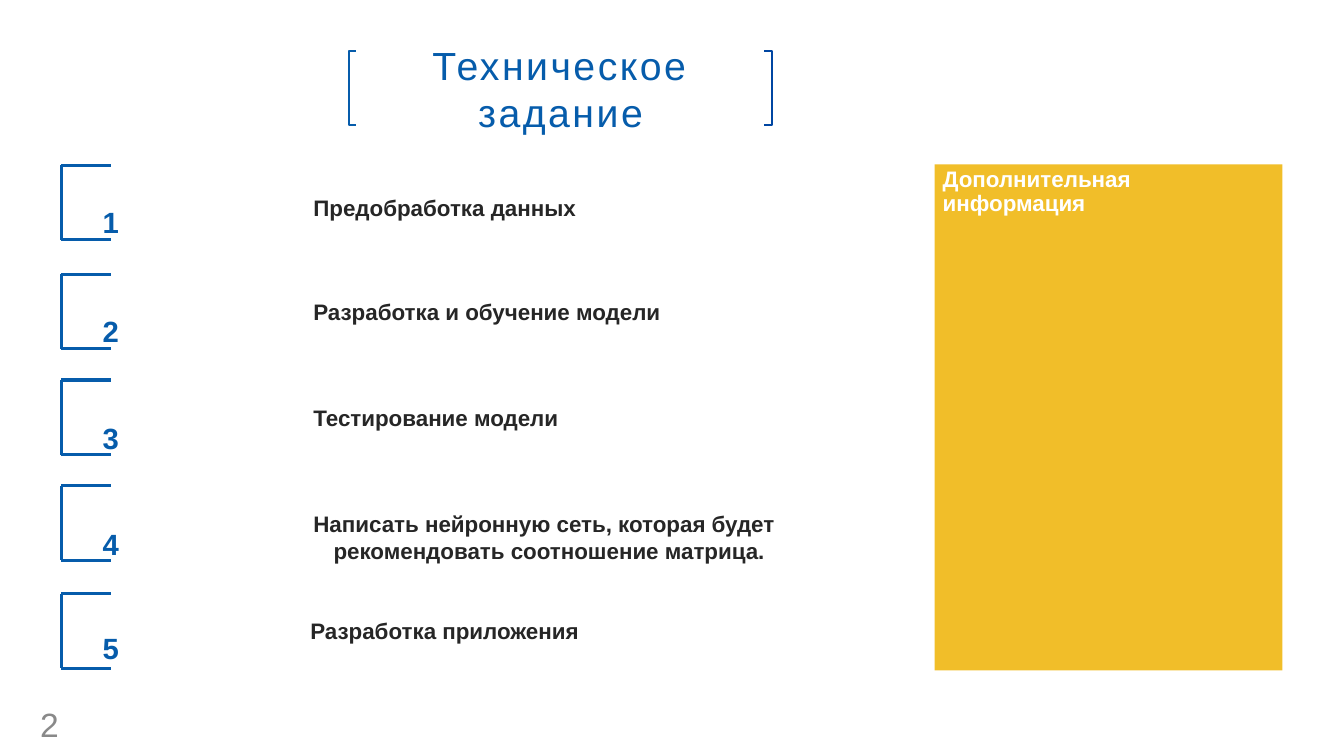
"""Build the slide listing the steps of a technical assignment."""
import dataclasses

import lxml.etree
import pptx
import pptx.dml.color
import pptx.enum.shapes
import pptx.enum.text
import pptx.oxml.ns
import pptx.util

PX = 9144
ANCHOR = pptx.enum.text.MSO_ANCHOR
ALIGN = pptx.enum.text.PP_ALIGN


@dataclasses.dataclass(frozen=True)
class Theme:
    """Colours, type sizes and line widths of the slide."""
    font: str = "Arial"
    blue: str = "065CAB"
    deep_blue: str = "0046A2"
    yellow: str = "F1BE29"
    white: str = "FFFFFF"
    ink: str = "262626"
    grey: str = "898989"
    title_size: int = 28
    label_size: int = 16
    number_size: int = 36
    page_size: int = 24
    thin: float = 1.3
    thick: float = 2.25


THEME = Theme()

STEPS = [
    ("Предобработка данных", (154, 164), 24, 28),
    ("Разработка и обучение модели", (154, 272), 19, 28),
    ("Тестирование модели", (154, 377), 19, 29),
    ("Написать нейронную сеть, которая будет рекомендовать соотношение матрица.",
     (154, 482), 19, 29),
    ("Разработка приложения", (151, 589), 18, 25),
]


def emu(*lengths):
    """Turn px lengths into EMU."""
    return [pptx.util.Emu(length * PX) for length in lengths]


def rgb(colour):
    """Return the colour object for a hex string."""
    return pptx.dml.color.RGBColor.from_string(colour)


def write(shape, text, size, colour, bold=False, align=ALIGN.LEFT, anchor=ANCHOR.TOP):
    """Put one formatted paragraph in a shape and return it."""
    frame = shape.text_frame
    frame.word_wrap = True
    frame.auto_size = pptx.enum.text.MSO_AUTO_SIZE.NONE
    frame.vertical_anchor = anchor
    para = frame.paragraphs[0]
    para.text = text
    para.alignment = align
    para.font.name = THEME.font
    para.font.size = pptx.util.Pt(size)
    para.font.bold = bold
    para.font.color.rgb = rgb(colour)
    return para


def add_title_bracket(page, box, colour):
    """Draw three sides of a box, open at its right or, for negative width, its left."""
    left, top, width, height = box
    builder = page.shapes.build_freeform(left + width, top, scale=PX)
    builder.add_line_segments(
        [(left, top), (left, top + height), (left + width, top + height)], close=False)
    bracket = builder.convert_to_shape()
    bracket.fill.background()
    bracket.line.color.rgb = rgb(colour)
    bracket.line.width = pptx.util.Pt(THEME.thin)
    bracket.shadow.inherit = False


def add_step_bracket(page, box):
    """Draw the left, top and bottom sides of a box as separate lines."""
    left, top, width, height = box
    right, bottom = left + width, top + height
    sides = [(left, top, left, bottom), (left, top, right, top), (left, bottom, right, bottom)]
    for side in sides:
        line = page.shapes.add_connector(
            pptx.enum.shapes.MSO_CONNECTOR.STRAIGHT, *emu(*side))
        line.line.color.rgb = rgb(THEME.blue)
        line.line.width = pptx.util.Pt(THEME.thick)
        lxml.etree.SubElement(line._element.spPr, pptx.oxml.ns.qn("a:effectLst"))


def add_title(page, box, text):
    """Place the title between a pair of brackets."""
    left, top, width, height = box
    title = page.shapes.title
    title.left, title.top, title.width, title.height = emu(*box)
    title.fill.solid()
    title.fill.fore_color.rgb = rgb(THEME.white)
    para = write(title, text, THEME.title_size, THEME.blue,
                 align=ALIGN.CENTER, anchor=ANCHOR.MIDDLE)
    para.runs[0].font._element.set("spc", "180")
    add_title_bracket(page, (left, top, 7, height), THEME.blue)
    add_title_bracket(page, (left + width, top, -8, height), THEME.deep_blue)


def add_step(page, box, number, text, label_left, label_drop, number_drop):
    """Draw one step: bracket, raised number and label."""
    left, top, width, height = box
    add_step_bracket(page, (left, top, 49, height))

    number_box = page.shapes.add_textbox(*emu(left + 31, top + number_drop, 118, 70))
    para = write(number_box, str(number), THEME.number_size, THEME.blue, bold=True)
    para.runs[0].font._element.set("baseline", "30000")

    label = page.shapes.add_textbox(*emu(label_left, top + label_drop, width, 37))
    para = write(label, text, THEME.label_size, THEME.ink, bold=True)
    label.text_frame.auto_size = pptx.enum.text.MSO_AUTO_SIZE.SHAPE_TO_FIT_TEXT
    margin, indent = emu(167, -20)
    properties = para._p.get_or_add_pPr()
    properties.set("marL", str(margin))
    properties.set("indent", str(indent))


def add_panel(page, box, text):
    """Draw the filled panel for additional information."""
    panel = page.shapes.add_shape(pptx.enum.shapes.MSO_SHAPE.RECTANGLE, *emu(*box))
    panel.fill.solid()
    panel.fill.fore_color.rgb = rgb(THEME.yellow)
    panel.line.fill.background()
    panel.shadow.inherit = False
    para = write(panel, text, THEME.label_size, THEME.white, bold=True, align=ALIGN.JUSTIFY)
    para.line_spacing = 0.9
    frame = panel.text_frame
    frame.margin_left, frame.margin_top, frame.margin_right, frame.margin_bottom = emu(8, 4, 8, 4)


def add_page_number(page, box, text):
    """Write the page number in the lower corner."""
    number = page.shapes.add_textbox(*emu(*box))
    write(number, text, THEME.page_size, THEME.grey, anchor=ANCHOR.MIDDLE)


def main():
    """Assemble and save the deck."""
    deck = pptx.Presentation()
    deck.slide_width, deck.slide_height = emu(1333, 750)
    page = deck.slides.add_slide(deck.slide_layouts.get_by_name("Title Only"))
    add_title(page, (346, 51, 420, 73), "Техническое задание")
    add_panel(page, (927, 163, 345, 502), "Дополнительная информация")
    for number, (text, (label_left, top), label_drop, number_drop) in enumerate(STEPS, 1):
        add_step(page, (61, top, 680, 74), number, text, label_left, label_drop, number_drop)
    add_page_number(page, (30, 703, 62, 30), "2")
    deck.save("out.pptx")


if __name__ == "__main__":
    main()
